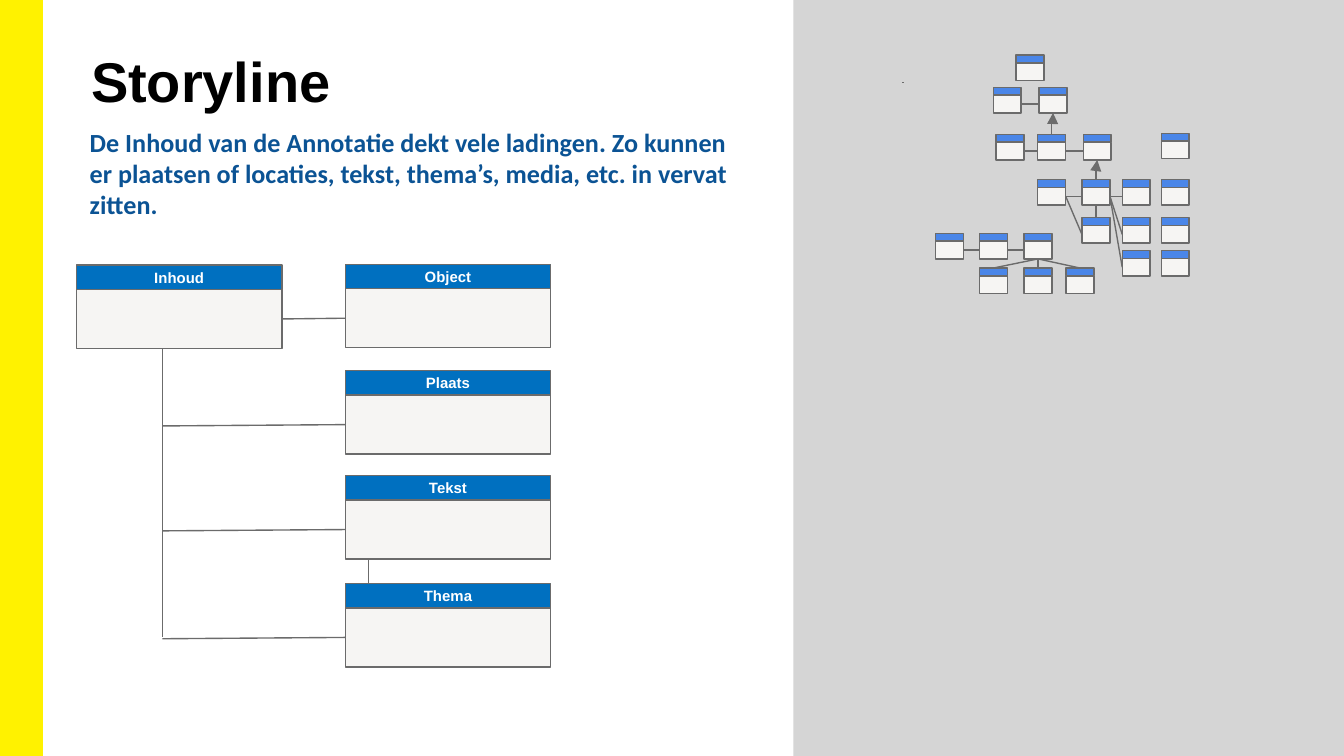
from collections import namedtuple

from lxml.etree import SubElement
from pptx import Presentation
from pptx.dml.color import RGBColor
from pptx.enum.shapes import MSO_CONNECTOR, MSO_SHAPE
from pptx.enum.text import MSO_ANCHOR, MSO_AUTO_SIZE, PP_ALIGN
from pptx.oxml.ns import qn
from pptx.util import Pt

# Content
TITLE = "Storyline"
INTRO = ("De Inhoud van de Annotatie dekt vele ladingen. Zo kunnen er plaatsen "
         "of locaties, tekst, thema’s, media, etc. in vervat zitten.")
CARDS = {"Inhoud": (41, 142), "Object": (185, 141.6), "Plaats": (185, 198.6),
         "Tekst": (185, 254.8), "Thema": (185, 312.6)}

# Overview map: (top, {box name: left}) for each row
ROWS = [
    (29.6, {"root": 544.3}),
    (46.8, {"a1": 532.1, "a2": 556.6}),
    (72, {"b1": 533.6, "b2": 555.9, "b3": 580.3}),
    (71.4, {"s1": 622.1}),
    (96.2, {"c1": 555.9, "c2": 579.6, "c3": 601.2, "s2": 622.1}),
    (116.6, {"d1": 579.6, "d2": 601.2, "s3": 622.1}),
    (134.2, {"e1": 601.2, "s4": 622.1}),
    (125, {"f1": 501.1, "f2": 524.8, "f3": 548.6}),
    (143.6, {"g1": 524.8, "g2": 548.6, "g3": 571}),
]
SIDE = [("f2", "f1"), ("f3", "f2"), ("a2", "a1"), ("b2", "b1"), ("b3", "b2"),
        ("c2", "c1"), ("c3", "c2"), ("d2", "c2"), ("e1", "c2"), ("d1", "c1")]
DOWN = [("f3", "g1"), ("f3", "g2"), ("f3", "g3"), ("c2", "d1")]
UP = [("b2", "a2"), ("c2", "b3")]

# Theme
Theme = namedtuple("Theme", "yellow panel blue mini body edge ink intro white "
                            "sans text big mid small thin")
T = Theme("FFF200", "D5D5D5", "0070C0", "4A86E8", "F6F5F3", "6B6B6B", "000000",
          "0B5394", "FFFFFF", "Arial", "Calibri", 30, 14, 8, 0.75)
TOP, LEFT, BOTTOM, RIGHT = range(4)

deck = Presentation()
deck.slide_width, deck.slide_height = Pt(720), Pt(405)
slide = deck.slides.add_slide(deck.slide_layouts[6])
shapes = slide.shapes


def rgb(code):
    return RGBColor.from_string(code)


def write(frame, text, size, color, font=T.sans, align=PP_ALIGN.LEFT,
          anchor=MSO_ANCHOR.TOP, pad=(7.2, 3.6)):
    frame.word_wrap = True
    frame.vertical_anchor = anchor
    frame.margin_left = frame.margin_right = Pt(pad[0])
    frame.margin_top = frame.margin_bottom = Pt(pad[1])
    para = frame.paragraphs[0]
    para.alignment = align
    run = para.add_run()
    run.text = text
    run.font.size, run.font.bold, run.font.name = Pt(size), True, font
    run.font.color.rgb = rgb(color)


def rect(home, x, y, w, h, fill, edge=None, width=T.thin):
    box = home.add_shape(MSO_SHAPE.RECTANGLE, Pt(x), Pt(y), Pt(w), Pt(h))
    box.shadow.inherit = False
    box.fill.solid()
    box.fill.fore_color.rgb = rgb(fill)
    if edge:
        box.line.color.rgb = rgb(edge)
        box.line.width = Pt(width)
    else:
        box.line.fill.background()
    return box


def card(x, y, w, head, body, fill):
    """Group a body under a head and return (head, body)."""
    group = shapes.add_group_shape().shapes
    low = rect(group, x, y + head, w, body, T.body, T.edge)
    return rect(group, x, y, w, head, fill, T.edge), low


def line(x1=0, y1=0, x2=0, y2=0, start=None, end=None,
         kind=MSO_CONNECTOR.STRAIGHT):
    link = shapes.add_connector(kind, Pt(x1), Pt(y1), Pt(x2), Pt(y2))
    if start:
        link.begin_connect(*start)
    if end:
        link.end_connect(*end)
    link.line.color.rgb = rgb(T.edge)
    link.line.width = Pt(T.thin)
    SubElement(link._element.spPr, qn("a:effectLst"))
    return link


def arrow(low, high):
    """Draw an elbow that rises from a head to the body above it."""
    link = line(start=(low, TOP), end=(high, BOTTOM), kind=MSO_CONNECTOR.ELBOW)
    SubElement(link.line._get_or_add_ln(), qn("a:tailEnd"), type="triangle")
    # The elbow is turned a quarter, so its box swaps width and height
    x, y, w, h = link.left, link.top, link.width, link.height
    link.left, link.top = x + (w - h) // 2, y + (h - w) // 2
    link.width, link.height = h, w
    form = link._element.spPr.find(qn("a:xfrm"))
    for flip in ("flipH", "flipV"):
        form.attrib.pop(flip, None)
    form.set("rot", "16200000")


# Background and headings
rect(shapes, 0, 0, 22.5, 405, T.yellow, T.yellow, 1)
rect(shapes, 425, 0, 295, 405, T.panel)
title = shapes.add_textbox(Pt(43.8), Pt(21.8), Pt(690), Pt(43)).text_frame
write(title, TITLE, T.big, T.ink, pad=(5, 3))
intro = shapes.add_textbox(Pt(41), Pt(64), Pt(360), Pt(58)).text_frame
write(intro, INTRO, T.mid, T.intro, font=T.text)
intro.auto_size = MSO_AUTO_SIZE.SHAPE_TO_FIT_TEXT

# Cards, with the link from Tekst to Thema behind them
line(197.4, 297, 197.4, 336)
parts = {}
for name, (x, y) in CARDS.items():
    parts[name] = card(x, y, 110, 13.1, 31.6, T.blue)
    write(parts[name][0].text_frame, name, T.small, T.white,
          align=PP_ALIGN.CENTER, anchor=MSO_ANCHOR.MIDDLE, pad=(7.2, 7.2))

# Trunk and branches from Inhoud
line(start=(parts["Inhoud"][1], RIGHT), end=(parts["Object"][1], LEFT))
trunk = 87
line(trunk, 186.7, trunk, 341.4)
for name in ("Plaats", "Tekst", "Thema"):
    y = CARDS[name][1] + 29.6
    line(trunk, y, 185, y, end=(parts[name][1], LEFT))

# Overview map
mini = {name: card(x, y, 15, 4.2, 9.5, T.mini)
        for y, row in ROWS for name, x in row.items()}
for near, far in SIDE:
    line(start=(mini[near][1], LEFT), end=(mini[far][1], RIGHT))
for high, low in DOWN:
    line(start=(mini[high][1], BOTTOM), end=(mini[low][0], TOP))
for low, high in UP:
    arrow(mini[low][0], mini[high][1])
line(483.8, 44.4, 483.8, 44)

deck.save("out.pptx")
